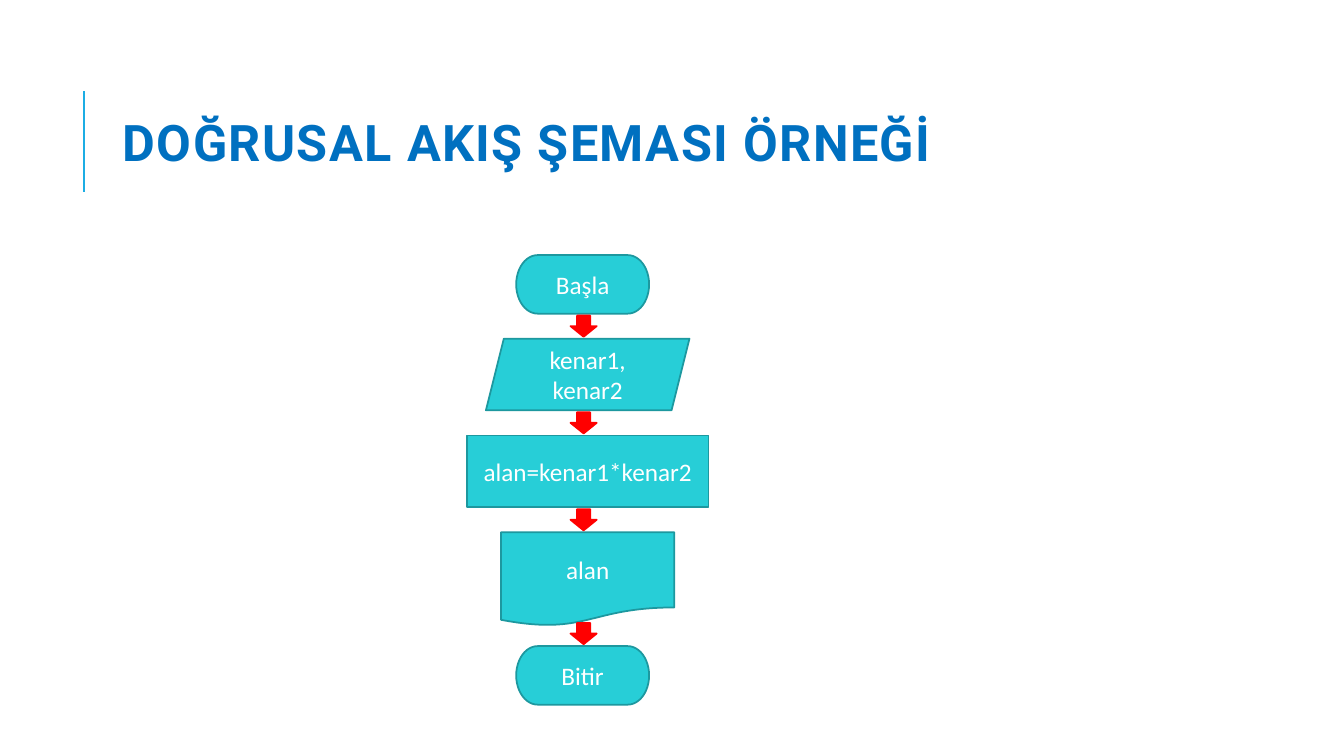
from pptx import Presentation
from pptx.dml.color import RGBColor
from pptx.enum.shapes import MSO_CONNECTOR, MSO_SHAPE
from pptx.enum.text import MSO_ANCHOR, PP_ALIGN
from pptx.oxml.ns import qn
from pptx.util import Pt
from lxml import etree

TERMINATOR = MSO_SHAPE.FLOWCHART_TERMINATOR
DATA = MSO_SHAPE.PARALLELOGRAM
PROCESS = MSO_SHAPE.RECTANGLE
DOCUMENT = MSO_SHAPE.FLOWCHART_DOCUMENT
ARROW = MSO_SHAPE.DOWN_ARROW
STRAIGHT = MSO_CONNECTOR.STRAIGHT
MIDDLE = MSO_ANCHOR.MIDDLE
CENTER, LEFT = PP_ALIGN.CENTER, PP_ALIGN.LEFT

COLORS = {
    "title": "0070C0", "rule": "1CADE4", "step": "27CED7",
    "outline": "1D989F", "arrow": "FF0000", "text": "FFFFFF",
}
TITLE = "DOĞRUSAL AKIŞ ŞEMASI ÖRNEĞİ"
STEPS = [
    ("Başla", TERMINATOR, 416.2, 182.2, 95, 41.8),
    ("kenar1,\nkenar2", DATA, 419.8, 241.9, 145.4, 51.1),
    ("alan=kenar1*kenar2", PROCESS, 419.8, 311, 172.8, 51.1),
    ("alan", DOCUMENT, 419.8, 380.2, 123.8, 67),
    ("Bitir", TERMINATOR, 416.2, 461.5, 95, 41.8),
]
ARROW_X, ARROW_W, ARROW_H, ARROW_GAP = 416.9, 18.7, 15.1, 1.4


def color(name):
    return RGBColor.from_string(COLORS[name])


def add_centered(s, kind, center, top, width, height, fill, line):
    sp = s.shapes.add_shape(kind, Pt(center - width / 2), Pt(top), Pt(width), Pt(height))
    sp.shadow.inherit = False
    sp.fill.solid()
    sp.fill.fore_color.rgb = color(fill)
    sp.line.color.rgb = color(line)
    sp.line.width = Pt(1.25)
    return sp


def format_text(tf, align, font, size, name, bold):
    tf.word_wrap = True
    tf.vertical_anchor = MIDDLE
    for p in tf.paragraphs:
        p.alignment = align
        for r in p.runs:
            r.font.name = font
            r.font.size = Pt(size)
            r.font.bold = bold
            r.font.color.rgb = color(name)


def add_title(s):
    rule = s.shapes.add_connector(STRAIGHT, Pt(60), Pt(136.8), Pt(60), Pt(64.8))
    rule.line.color.rgb = color("rule")
    rule.line.width = Pt(1.5)
    etree.SubElement(rule._element.spPr, qn("a:effectLst"))

    title = s.shapes.title
    title.left, title.top, title.width, title.height = Pt(80.6), Pt(46.1), Pt(765.4), Pt(118.1)
    tf = title.text_frame
    tf.text = TITLE
    format_text(tf, LEFT, "Roboto", 36, "title", True)
    p = tf.paragraphs[0]
    p.line_spacing = 0.8
    p.runs[0].font._element.set("spc", "100")


def add_flow(s):
    for text, kind, center, top, width, height in STEPS:
        sp = add_centered(s, kind, center, top, width, height, "step", "outline")
        sp.text_frame.text = text
        format_text(sp.text_frame, CENTER, "Calibri", 18, "text", False)
    for step in STEPS[1:]:
        top = step[3] - ARROW_GAP - ARROW_H
        add_centered(s, ARROW, ARROW_X, top, ARROW_W, ARROW_H, "arrow", "arrow")


def main():
    prs = Presentation()
    prs.slide_width, prs.slide_height = Pt(960), Pt(540)
    s = prs.slides.add_slide(prs.slide_layouts[5])
    add_title(s)
    add_flow(s)
    prs.save("out.pptx")


if __name__ == "__main__":
    main()
